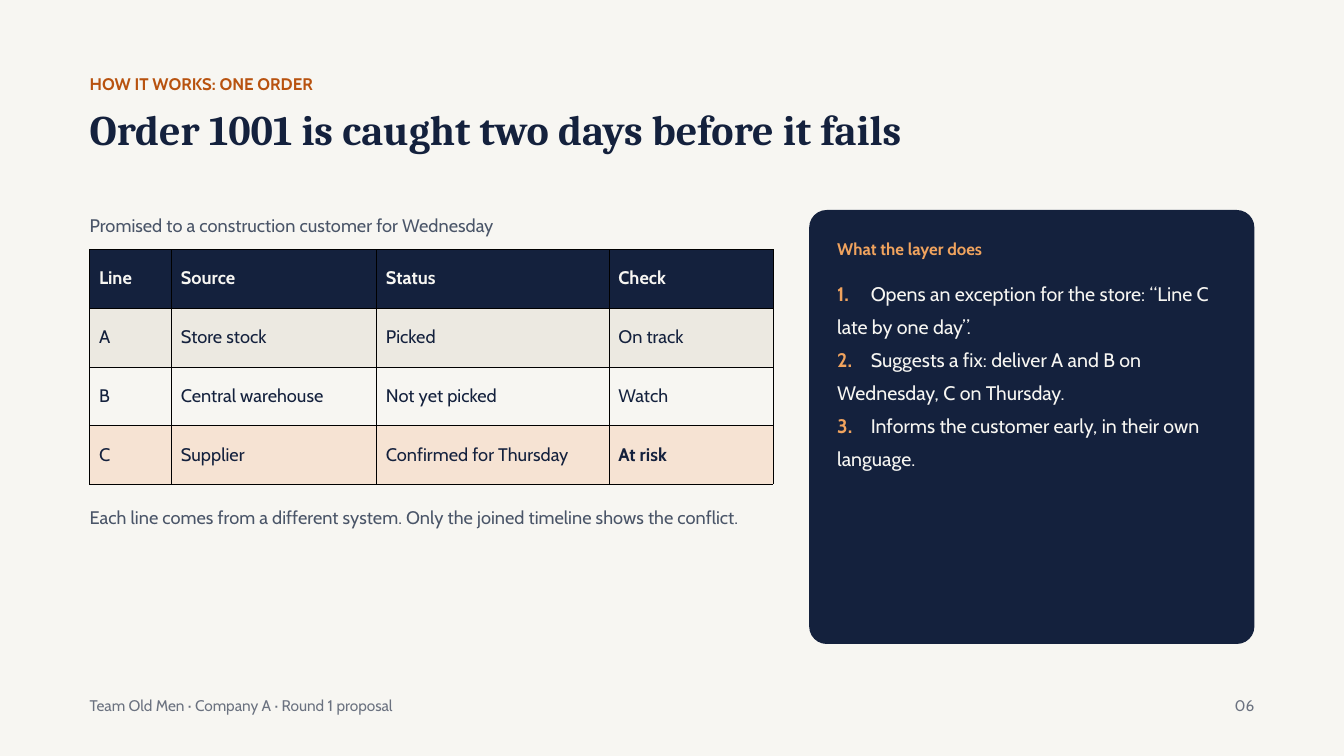
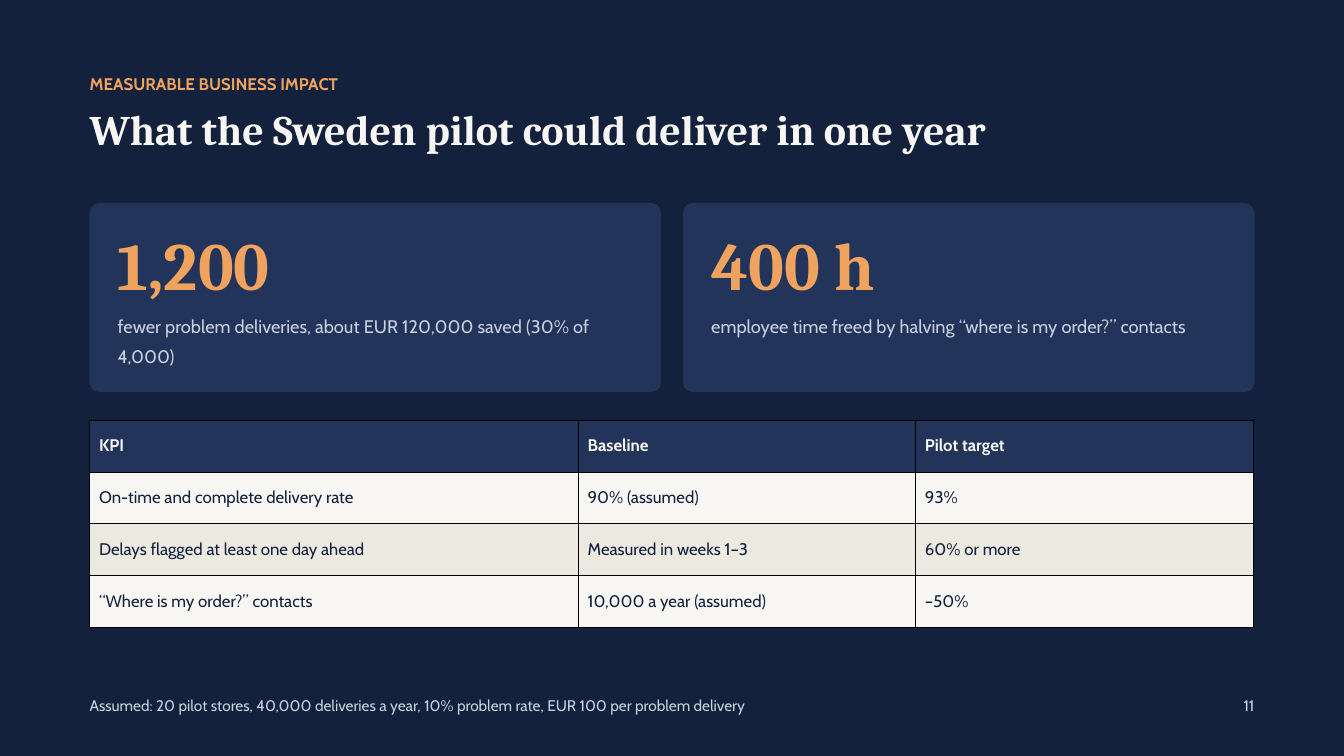
"""Build two proposal slides: one caught order and the pilot's yearly impact."""
from dataclasses import dataclass
from typing import NamedTuple

from lxml.etree import SubElement as sub
from pptx import Presentation
from pptx.dml.color import RGBColor
from pptx.enum.shapes import MSO_SHAPE as Form
from pptx.enum.text import MSO_ANCHOR as Anchor, MSO_AUTO_SIZE as Fit, PP_ALIGN as Align
from pptx.oxml.ns import qn
from pptx.presentation import Presentation as Deck
from pptx.slide import Slide
from pptx.util import Emu, Inches, Pt

WIDE, HIGH = Inches(20), Inches(11.25)
COLS, ROWS = 480, 270
EDGE, SPAN, PAD = 32, 416, 10

NAVY, BLUE, PAPER, SAND, PEACH = "14213D", "23345A", "F7F6F2", "ECE9E1", "F6E3D3"
AMBER, RUST, SLATE, GREY, MIST = "F0A35E", "B8520F", "4A5568", "6B7280", "C9D1E0"
BLACK = "000000"


class Box(NamedTuple):
    """A place on the slide, in grid columns and rows."""
    x: float
    y: float
    w: float
    h: float


class Style(NamedTuple):
    """A text style: size and line height in points."""
    size: float
    lead: float
    bold: bool = False
    font: str = "Cabin"


class Look(NamedTuple):
    """The colours of one slide's frame."""
    back: str
    label: str
    title: str
    foot: str


class Stat(NamedTuple):
    """A large figure and what it means."""
    value: str
    note: str


@dataclass
class Grid:
    """A table: its corner, columns, row height, header and body rows."""
    x: float
    y: float
    cols: list[float]
    row: float
    size: float
    head: str
    fills: list[str]
    cells: list[list[str]]
    strong: str = ""


LABEL = Style(18, 28.1, True)
TITLE = Style(45, 56.7, True, "Cambria")
VALUE = Style(72, 112.3, True, "Cambria")
FOOT = Style(16.5, 25.7)
STEP = Style(21, 35.3)

LIGHT = Look(PAPER, RUST, NAVY, GREY)
DARK = Look(NAVY, AMBER, PAPER, MIST)

STEPS = [
    "Opens an exception for the store: “Line C late by one day”.",
    "Suggests a fix: deliver A and B on Wednesday, C on Thursday.",
    "Informs the customer early, in their own language.",
]
STATS = [
    Stat("1,200", "fewer problem deliveries, about EUR 120,000 saved (30% of 4,000)"),
    Stat("400 h", "employee time freed by halving “where is my order?” contacts"),
]
ORDER = Grid(
    EDGE, 89, [29.25, 73.25, 83, 58.5], 21, 19.5, NAVY, [SAND, PAPER, PEACH],
    [
        ["Line", "Source", "Status", "Check"],
        ["A", "Store stock", "Picked", "On track"],
        ["B", "Central warehouse", "Not yet picked", "Watch"],
        ["C", "Supplier", "Confirmed for Thursday", "At risk"],
    ],
    "At risk",
)
KPIS = Grid(
    EDGE, 150, [174.5, 120.5, 120.5], 18.5, 18, BLUE, [PAPER, SAND, PAPER],
    [
        ["KPI", "Baseline", "Pilot target"],
        ["On-time and complete delivery rate", "90% (assumed)", "93%"],
        ["Delays flagged at least one day ahead", "Measured in weeks 1–3", "60% or more"],
        ["“Where is my order?” contacts", "10,000 a year (assumed)", "–50%"],
    ],
)


def across(cols: float) -> Emu:
    """Turn grid columns into a length."""
    return Emu(round(WIDE * cols / COLS))


def down(rows: float) -> Emu:
    """Turn grid rows into a length."""
    return Emu(round(HIGH * rows / ROWS))


def place(box: Box) -> tuple[Emu, Emu, Emu, Emu]:
    """Turn a grid box into left, top, width and height."""
    return across(box.x), down(box.y), across(box.w), down(box.h)


def paint(fill, tone: str) -> None:
    """Give a fill one solid colour."""
    fill.solid()
    fill.fore_color.rgb = RGBColor.from_string(tone)


def dress(run, style: Style, tone: str, bold: bool) -> None:
    """Format one run."""
    run.font.name, run.font.size, run.font.bold = style.font, Pt(style.size), bold
    paint(run.font.fill, tone)


def space(par, style: Style) -> None:
    """Set a paragraph's fixed line height."""
    par.line_spacing = Pt(style.lead)
    par.space_before = par.space_after = Pt(0)


def frame(shape, box: Box):
    """Place a text shape on top, without insets, and return its frame."""
    shape.left, shape.top, shape.width, shape.height = place(box)
    shape.element.getparent().append(shape.element)
    text = shape.text_frame
    text.margin_left = text.margin_right = text.margin_top = text.margin_bottom = 0
    text.word_wrap = True
    text.auto_size = Fit.SHAPE_TO_FIT_TEXT
    text.vertical_anchor = Anchor.TOP
    return text


def write(shape, box: Box, words: str, style: Style, tone: str, side=Align.LEFT) -> None:
    """Write one paragraph into a shape."""
    text = frame(shape, box)
    text.text = words
    par = text.paragraphs[0]
    par.alignment = side
    space(par, style)
    dress(par.runs[0], style, tone, style.bold)


def note(slide: Slide, box: Box, words: str, style: Style, tone: str, side=Align.LEFT) -> None:
    """Add a text box."""
    write(slide.shapes.add_textbox(*place(box)), box, words, style, tone, side)


def card(slide: Slide, box: Box, tone: str, curve: float) -> None:
    """Add a plain rounded panel."""
    shape = slide.shapes.add_shape(Form.ROUNDED_RECTANGLE, *place(box))
    shape.shadow.inherit = False
    shape.adjustments[0] = curve / min(box.w, box.h)
    paint(shape.fill, tone)
    shape.line.fill.background()


def rule(cell) -> None:
    """Draw a thin black border round a cell."""
    props = cell._tc.get_or_add_tcPr()
    for spot, side in enumerate("LRTB"):
        line = sub(props, qn(f"a:ln{side}"), w=str(Pt(0.37)))
        sub(sub(line, qn("a:solidFill")), qn("a:srgbClr"), val=BLACK)
        props.insert(spot, line)


def table(slide: Slide, grid: Grid) -> None:
    """Add a filled and ruled table."""
    count = len(grid.cells)
    box = Box(grid.x, grid.y, sum(grid.cols), grid.row * count)
    made = slide.shapes.add_table(count, len(grid.cols), *place(box)).table
    made.horz_banding = False
    for col, width in zip(made.columns, grid.cols):
        col.width = across(width)
    style = Style(grid.size, grid.size * 1.2)
    fills = [grid.head, *grid.fills]
    for r, (row, fill) in enumerate(zip(grid.cells, fills)):
        made.rows[r].height = down(grid.row)
        for c, words in enumerate(row):
            cell = made.cell(r, c)
            cell.text = words
            cell.vertical_anchor = Anchor.MIDDLE
            cell.margin_left = cell.margin_right = Inches(0.14)
            cell.margin_top = cell.margin_bottom = Inches(0.14)
            paint(cell.fill, fill)
            rule(cell)
            par = cell.text_frame.paragraphs[0]
            space(par, style)
            dress(par.runs[0], style, NAVY if r else PAPER, r == 0 or words == grid.strong)


def steps(shape, box: Box) -> None:
    """Write the numbered steps into the body placeholder."""
    text = frame(shape, box)
    text.text = "\n".join(f"{n}." for n in range(1, len(STEPS) + 1))
    for par, words in zip(text.paragraphs, STEPS):
        space(par, STEP)
        props = par._p.get_or_add_pPr()
        props.set("marL", "0")
        props.set("indent", "0")
        sub(props, qn("a:buNone"))
        sub(sub(props, qn("a:tabLst")), qn("a:tab"), pos=str(across(8)), algn="l")
        dress(par.runs[0], STEP, AMBER, True)
        run = par.add_run()
        run.text = f"\t{words}"
        dress(run, STEP, PAPER, False)


def start(deck: Deck, kind: int, look: Look, label: str, title: str, foot: str, page: str) -> Slide:
    """Add a slide with its label, title and footer."""
    slide = deck.slides.add_slide(deck.slide_layouts[kind])
    paint(slide.background.fill, look.back)
    note(slide, Box(EDGE, 24.25, SPAN, 10.75), label, LABEL, look.label)
    write(slide.shapes.title, Box(EDGE, 36, SPAN, 23.5), title, TITLE, look.title)
    note(slide, Box(EDGE, 246.5, 375, 9.5), foot, FOOT, look.foot)
    note(slide, Box(EDGE + SPAN - 25, 246.5, 25, 9.5), page, FOOT, look.foot, Align.RIGHT)
    return slide


def order(deck: Deck) -> None:
    """Build the slide on one order."""
    slide = start(deck, 1, LIGHT, "HOW IT WORKS: ONE ORDER",
                  "Order 1001 is caught two days before it fails",
                  "Team Old Men · Company A · Round 1 proposal", "06")
    note(slide, Box(EDGE, 74.25, 245, 10.75),
         "Promised to a construction customer for Wednesday", Style(19.5, 30.4), SLATE)
    table(slide, ORDER)
    note(slide, Box(EDGE, 177.75, 245, 22.25),
         "Each line comes from a different system. Only the joined timeline shows the conflict.",
         Style(19.5, 32.8), SLATE)
    panel = Box(289, 75, 159, 155)
    card(slide, panel, NAVY, 6.25)
    left, width = panel.x + PAD, panel.w - 2 * PAD
    note(slide, Box(left, 83.25, width, 10.25), "What the layer does", LABEL, AMBER)
    steps(slide.placeholders[1], Box(left, 97.25, width, 122.75))


def impact(deck: Deck) -> None:
    """Build the slide on the pilot's impact."""
    slide = start(deck, 5, DARK, "MEASURABLE BUSINESS IMPACT",
                  "What the Sweden pilot could deliver in one year",
                  "Assumed: 20 pilot stores, 40,000 deliveries a year, 10% problem rate, "
                  "EUR 100 per problem delivery", "11")
    gap = 8
    width = (SPAN - gap) / len(STATS)
    for n, stat in enumerate(STATS):
        x = EDGE + n * (width + gap)
        card(slide, Box(x, 72.5, width, 67.5), BLUE, 3.33)
        left, inner = x + PAD, width - 2 * PAD
        note(slide, Box(left, 71.25, inner, 36.75), stat.value, VALUE, AMBER)
        note(slide, Box(left, 110, inner, 24.5), stat.note, Style(19.5, 31.6), MIST)
    table(slide, KPIS)


def main() -> None:
    """Build and save the deck."""
    deck = Presentation()
    deck.slide_width, deck.slide_height = WIDE, HIGH
    order(deck)
    impact(deck)
    deck.save("out.pptx")


if __name__ == "__main__":
    main()
